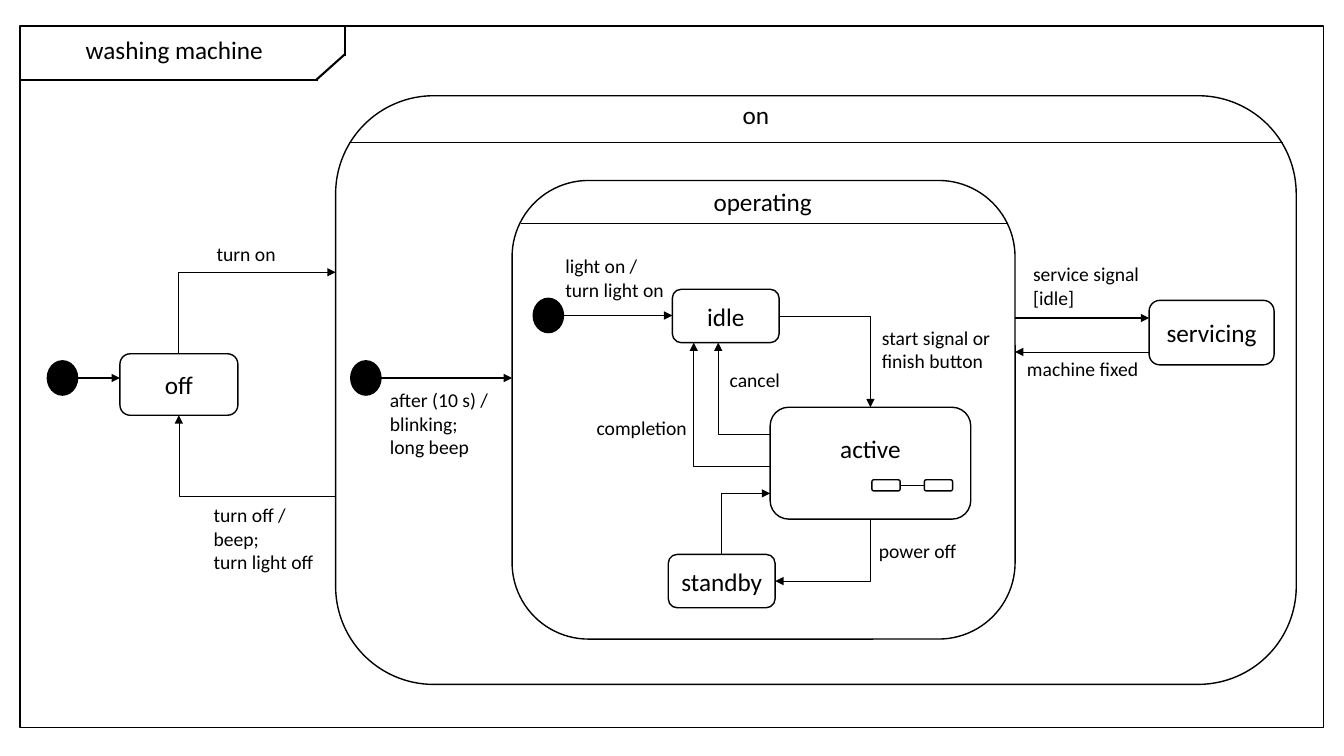
"""Builds a state machine slide for a washing machine."""
from lxml import etree
from pptx import Presentation
from pptx import util as u
from pptx.dml.color import RGBColor
from pptx.enum import shapes, text
from pptx.oxml.ns import qn

COLORS = {"ink": "000000", "paper": "FFFFFF"}
FONT = "Calibri"
CELL = 0.1
COLUMNS, ROWS = 133.33, 75

TITLE = ("washing machine", 7.5, 2.9, 23.3, 4)
FRAME = (2, 2.6, 129.3, 69.6)
START_SIZE = (3, 3.4)

STATES = {
    "on": ("", 33.3, 9.5, 95.3, 58.4),
    "operating": ("", 50.8, 17.9, 49.9, 45.5),
    "off": ("off", 11.9, 35.1, 11.7, 6.1),
    "idle": ("idle", 66.7, 28.7, 10.6, 5.3),
    "active": ("active", 76.4, 40.4, 19.9, 11.1),
    "standby": ("standby", 66.3, 55, 10.6, 5.3),
    "servicing": ("servicing", 114, 29.8, 12.4, 6.4),
    "first step": ("", 86.5, 47.6, 2.8, 1.1),
    "last step": ("", 91.7, 47.6, 2.8, 1.1),
}
TEXT_LIFT = {"active": 3}
STARTS = {"power": (4.7, 35.8), "wake": (34.8, 35.8), "light": (52.9, 29.6)}

RULES = [
    (2, 7.9, 31.5, 7.9, 1.5),
    (31.4, 7.9, 34.2, 5.4, 1.5),
    (34.2, 5.6, 34.2, 2.6, 1.5),
    (34.6, 14.1, 127.3, 14.1, 0.75),
    (51.7, 22.2, 99.9, 22.2, 0.75),
]

TRANSITIONS = [
    ("power", "right", 0.5, "off", "left", 0.43, 0.75),
    ("off", "top", 0.5, "on", "left", 0.3, 0.75),
    ("on", "left", 0.68, "off", "bottom", 0.5, 0.5),
    ("wake", "right", 0.5, "operating", "left", 0.43, 0.75),
    ("light", "right", 0.5, "idle", "left", 0.5, 0.75),
    ("idle", "right", 0.5, "active", "top", 0.5, 0.5),
    ("active", "bottom", 0.5, "standby", "right", 0.5, 0.5),
    ("standby", "top", 0.5, "active", "left", 0.77, 0.5),
    ("active", "left", 0.53, "idle", "bottom", 0.2, 0.5),
    ("active", "left", 0.24, "idle", "bottom", 0.43, 0.5),
    ("operating", "right", 0.3, "servicing", "left", 0.25, 0.75),
    ("servicing", "left", 0.8, "operating", "right", 0.37, 0.5),
]
STEP_LINK = ("first step", "right", 0.5, "last step", "left", 0.5, 0.5)

LABELS = [
    (["on"], 72.7, 9.4, 6, 4, 18),
    (["operating"], 69.8, 18, 12.8, 4, 18),
    (["turn on"], 20.5, 23.5, 9.7, 3.4, 14),
    (["turn off /", "beep;", "turn light off"], 20.2, 49.4, 13.6, 8.1, 14),
    (["after (10 s) /", "blinking;", "long beep"], 37.7, 38, 18.6, 8.1, 14),
    (["light on / turn light on"], 55.1, 24.7, 12.4, 5.7, 14),
    (["power off"], 86.2, 53, 12.4, 3.4, 14),
    (["start signal or finish button"], 86.5, 31.8, 15.4, 5.7, 14),
    (["service signal [idle]"], 101.5, 25.5, 14.4, 5.7, 14),
    (["machine fixed"], 100.9, 34.9, 14.4, 3.4, 14),
    (["completion"], 58.2, 40.8, 12.4, 3.4, 14),
    (["cancel"], 71.4, 36, 12.4, 3.4, 14),
]


def grid(*cells):
    return [u.Inches(cell * CELL) for cell in cells]


def color(name):
    return RGBColor.from_string(COLORS[name])


def write(box, lines, size, align, anchor):
    frame = box.text_frame
    settings = {"word_wrap": True, "auto_size": text.MSO_AUTO_SIZE.NONE, "vertical_anchor": anchor}
    for name, value in settings.items():
        setattr(frame, name, value)
    for index, line in enumerate(lines):
        para = frame.paragraphs[0] if index == 0 else frame.add_paragraph()
        para.alignment = align
        span = para.add_run()
        span.text = line
        for name, value in {"name": FONT, "size": u.Pt(size), "bold": False}.items():
            setattr(span.font, name, value)
        span.font.color.rgb = color("ink")


def draw_shape(page, kind, area, fill="paper"):
    shape = page.shapes.add_shape(kind, *grid(*area))
    shape.shadow.inherit = False
    shape.fill.solid()
    shape.fill.fore_color.rgb = color(fill)
    shape.line.color.rgb = color("ink")
    shape.line.width = u.Pt(1)
    return shape


def draw_line(page, start, end, width, arrow=False):
    line = page.shapes.add_connector(shapes.MSO_CONNECTOR.STRAIGHT, *grid(*start, *end))
    line.line.color.rgb = color("ink")
    line.line.width = u.Pt(width)
    if arrow:
        etree.SubElement(line.line._get_or_add_ln(), qn("a:tailEnd"), type="triangle")
    etree.SubElement(line._element.spPr, qn("a:effectLst"))
    return line


def bend(line, start, end, upright):
    """Turns a line into one right-angled corner, leaving vertically if upright."""
    across, down = end[0] - start[0], end[1] - start[1]
    width, height = (abs(down), abs(across)) if upright else (abs(across), abs(down))
    middle = [(a + b) / 2 for a, b in zip(start, end)]
    place = grid(middle[0] - width / 2, middle[1] - height / 2, width, height)
    for name, value in zip(("left", "top", "width", "height"), place):
        setattr(line, name, value)
    flips = {"flipH": down < 0, "flipV": across > 0} if upright else {"flipH": across < 0, "flipV": down < 0}
    xfrm = line._element.spPr.find(qn("a:xfrm"))
    xfrm.set("rot", str(90 * 60000 if upright else 0))
    for name, value in flips.items():
        xfrm.set(name, str(int(value)))
    line._element.spPr.find(qn("a:prstGeom")).set("prst", "bentConnector2")


def port(area, side, share):
    left, top, width, height = area
    return {
        "left": (left, top + height * share),
        "right": (left + width, top + height * share),
        "top": (left + width * share, top),
        "bottom": (left + width * share, top + height),
    }[side]


def connect(page, areas, route, arrow=True):
    source, source_side, source_share, target, target_side, target_share, width = route
    start = port(areas[source], source_side, source_share)
    end = port(areas[target], target_side, target_share)
    level = {"left", "right"}
    straight = source_side in level and target_side in level
    if straight:
        end = (end[0], start[1])
    line = draw_line(page, start, end, width, arrow)
    if not straight:
        bend(line, start, end, source_side not in level)


def main():
    deck = Presentation()
    deck.slide_width, deck.slide_height = grid(COLUMNS, ROWS)
    page = deck.slides.add_slide(deck.slide_layouts[5])
    kinds = shapes.MSO_SHAPE
    left, top, middle = text.PP_ALIGN.LEFT, text.MSO_ANCHOR.TOP, text.MSO_ANCHOR.MIDDLE

    draw_shape(page, kinds.RECTANGLE, FRAME)
    title = page.shapes.title
    page.shapes.element.append(title.element)
    for name, value in zip(("left", "top", "width", "height"), grid(*TITLE[1:])):
        setattr(title, name, value)
    write(title, TITLE[:1], 18, left, top)

    areas = {}
    for name, (caption, *area) in STATES.items():
        areas[name] = area
        state = draw_shape(page, kinds.ROUNDED_RECTANGLE, area)
        if caption:
            state.text_frame.margin_bottom = u.Inches(0.05 + TEXT_LIFT.get(name, 0) * CELL)
            state.text_frame.margin_left = state.text_frame.margin_right = 0
            write(state, [caption], 18, text.PP_ALIGN.CENTER, middle)
    for name, corner in STARTS.items():
        areas[name] = corner + START_SIZE
        draw_shape(page, kinds.OVAL, areas[name], "ink")

    for x1, y1, x2, y2, width in RULES:
        draw_line(page, (x1, y1), (x2, y2), width)
    for route in TRANSITIONS:
        connect(page, areas, route)
    connect(page, areas, STEP_LINK, arrow=False)
    for lines, *area, size in LABELS:
        write(page.shapes.add_textbox(*grid(*area)), lines, size, left, top)
    deck.save("out.pptx")


if __name__ == "__main__":
    main()
